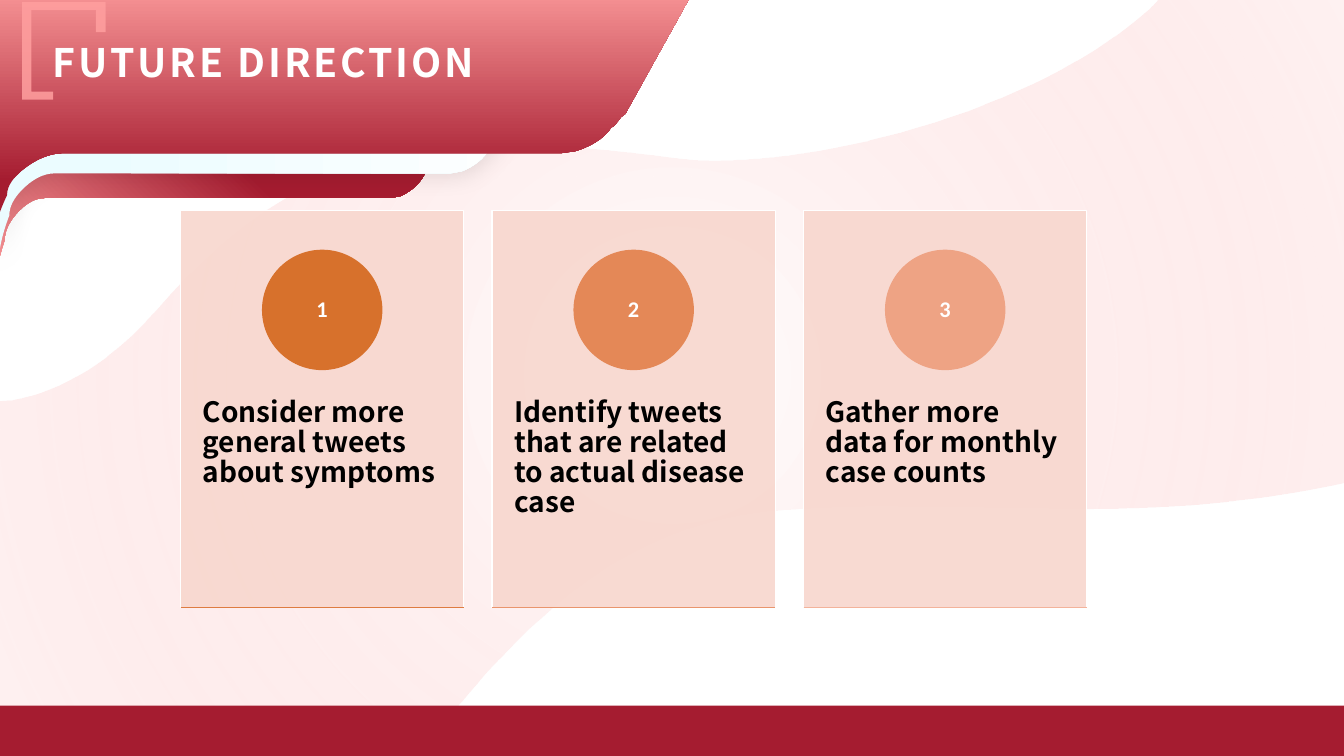
from dataclasses import dataclass
from typing import Any, Optional

from lxml.etree import SubElement
from pptx import Presentation
from pptx.dml.color import RGBColor
from pptx.enum.shapes import MSO_CONNECTOR, MSO_SHAPE
from pptx.enum.text import MSO_ANCHOR, MSO_AUTO_SIZE, PP_ALIGN
from pptx.oxml.ns import qn
from pptx.util import Cm, Pt

WHITE = RGBColor(0xFF, 0xFF, 0xFF)
BLACK = RGBColor(0x00, 0x00, 0x00)
CRIMSON = RGBColor(0xA5, 0x1C, 0x30)
PINK = RGBColor(0xFF, 0x9F, 0x9F)
PALE_PINK = RGBColor(0xFF, 0xCB, 0xCB)
ICE = RGBColor(0xEB, 0xFC, 0xFF)
PEACH = RGBColor(0xF8, 0xD7, 0xCE)
HEADING_FONT = "Noto Sans CJK SC"
NUMBER_FONT = "Calibri"

SLIDE_W, SLIDE_H = 33.87, 19.05
CARD_LEFT, CARD_TOP, CARD_W, CARD_H, CARD_PITCH = 4.55, 5.31, 7.14, 10.0, 7.85
CIRCLE, CIRCLE_DROP = 3.0, 1.0
BODY_DROP, BODY_H = 3.81, 6.0

Point = tuple[float, float]
Segment = tuple[Point, ...]


@dataclass
class Stop:
    position: float
    color: RGBColor


@dataclass
class Tab:
    left: float
    top: float
    width: float
    stops: tuple[Stop, Stop]
    angle: float
    shadow: bool = False


@dataclass
class Card:
    text: str
    circle: RGBColor
    base: RGBColor


TABS = [
    Tab(-0.13, 0.44, 12.47, (Stop(0, PINK), Stop(0.49, CRIMSON)), 45),
    Tab(-0.05, -0.18, 14.25, (Stop(0.15, ICE), Stop(1, WHITE)), 0, True),
    Tab(-0.18, -0.69, 17.91, (Stop(0.25, CRIMSON), Stop(1, PINK)), 90),
]

CARDS = [
    Card("Consider more general tweets about symptoms",
         RGBColor(0xD7, 0x71, 0x2C), RGBColor(0xDE, 0x7C, 0x41)),
    Card("Identify tweets that are related to actual disease case",
         RGBColor(0xE4, 0x88, 0x57), RGBColor(0xE9, 0x95, 0x6D)),
    Card("Gather more data for monthly case counts",
         RGBColor(0xEE, 0xA3, 0x84), RGBColor(0xF3, 0xB3, 0x9B)),
]

WAVE: list[Segment] = [
    ((29.24, -0.08),), ((33.88, -0.08),), ((33.88, 12.17),), ((33.66, 12.22),),
    ((28.68, 13.28), (24.64, 12.57), (20.12, 12.83)),
    ((16.0, 13.03), (13.46, 15.29), (10.8, 18.72)),
    ((10.57, 19.0),), ((0.02, 19.0),), ((0.02, 10.11),), ((0.33, 10.08),),
    ((1.6, 9.86), (2.84, 9.09), (4.01, 7.75)),
    ((7.47, 3.81), (10.67, 3.12), (17.07, 3.99)),
    ((19.56, 4.34), (25.63, 3.18), (28.96, 0.23)),
]

TAB_OUTLINE: list[Segment] = [
    ((1, 0),), ((0.89, 3.56),),
    ((0.88, 3.66), (0.88, 3.81), (0.87, 3.91)),
    ((0.86, 4.19), (0.84, 4.39), (0.82, 4.5)),
    ((0.81, 4.52), (0.81, 4.55), (0.8, 4.55)),
    ((0.1, 4.55),),
    ((0.08, 4.55), (0.06, 4.7), (0.04, 5.0)),
    ((0.03, 5.16), (0.02, 5.36), (0.02, 5.61)),
    ((0.01, 5.99), (0, 6.45), (0, 7.01)),
    ((0, 0),),
]

BRACKET: list[Segment] = [
    ((x, y),) for x, y in (
        (1.34, 2.51), (0.56, 2.51), (0.56, 0.05), (2.66, 0.05), (2.66, 0.81),
        (2.42, 0.81), (2.42, 0.25), (0.79, 0.25), (0.79, 2.31), (1.34, 2.31))
]


def apply(target: Any, values: dict[str, Any]) -> None:
    for name, value in values.items():
        setattr(target, name, value)


def draw_outline(s: Any, outline: list[Segment]) -> Any:
    ends = [(Cm(segment[-1][0]), Cm(segment[-1][1])) for segment in outline]
    builder = s.shapes.build_freeform(*ends[0], scale=1.0)
    builder.add_line_segments(ends[1:], close=True)
    sp = builder.convert_to_shape()
    for step, segment in zip(list(sp._element.iter(qn("a:lnTo"))), outline[1:]):
        if len(segment) == 3:
            curve = SubElement(step.getparent(), qn("a:cubicBezTo"))
            step.getparent().replace(step, curve)
            for x, y in segment:
                SubElement(curve, qn("a:pt"), x=str(Cm(x) - sp.left), y=str(Cm(y) - sp.top))
    sp.shadow.inherit = False
    sp.line.fill.background()
    return sp


def set_alpha(color: Any, percent: int) -> None:
    SubElement(color, qn("a:alpha"), val=str(percent * 1000))


def paint(sp: Any, fill: RGBColor, line: Optional[RGBColor] = None,
          alpha: int = 100) -> None:
    sp.shadow.inherit = False
    sp.fill.solid()
    sp.fill.fore_color.rgb = fill
    if alpha < 100:
        set_alpha(sp._element.spPr.find(qn("a:solidFill"))[0], alpha)
    if line is None:
        sp.line.fill.background()
    else:
        sp.line.color.rgb = line
        sp.line.width = Pt(1)


def paint_gradient(sp: Any, stops: tuple[Stop, Stop], angle: float) -> Any:
    sp.fill.gradient()
    sp.fill.gradient_angle = angle
    for target, stop in zip(sp.fill.gradient_stops, stops):
        target.color.rgb = stop.color
        target.position = stop.position
    return sp._element.spPr.find(qn("a:gradFill"))


def draw_wave(s: Any) -> None:
    grad = paint_gradient(draw_outline(s, WAVE), (Stop(0, WHITE), Stop(1, PALE_PINK)), 0)
    set_alpha(grad.find(qn("a:gsLst"))[1][0], 25)
    grad.remove(grad.find(qn("a:lin")))
    circle = SubElement(grad, qn("a:path"), path="circle")
    SubElement(circle, qn("a:fillToRect"), l="50000", t="50000", r="50000", b="50000")


def draw_tab(s: Any, tab: Tab) -> None:
    outline = [tuple((tab.left + x * tab.width, tab.top + y) for x, y in segment)
               for segment in TAB_OUTLINE]
    sp = draw_outline(s, outline)
    paint_gradient(sp, tab.stops, tab.angle)
    if tab.shadow:
        effects = sp._element.spPr.find(qn("a:effectLst"))
        shadow = SubElement(effects, qn("a:outerShdw"), blurRad=str(Pt(16)),
                            dist=str(Pt(3)), dir="2700000", algn="tl", rotWithShape="0")
        set_alpha(SubElement(shadow, qn("a:srgbClr"), val=str(BLACK)), 10)


def write(sp: Any, text: str, frame: dict[str, Any], para: dict[str, Any],
          font: dict[str, Any], color: RGBColor) -> Any:
    tf = sp.text_frame
    apply(tf, frame)
    p = tf.paragraphs[0]
    apply(p, para)
    r = p.add_run()
    r.text = text
    apply(r.font, {"bold": True, **font})
    r.font.color.rgb = color
    return r


def draw_card(s: Any, index: int, card: Card) -> None:
    left = CARD_LEFT + index * CARD_PITCH
    bottom = CARD_TOP + CARD_H
    panel = s.shapes.add_shape(MSO_SHAPE.RECTANGLE, Cm(left), Cm(CARD_TOP), Cm(CARD_W), Cm(CARD_H))
    paint(panel, PEACH, WHITE, 90)
    body = s.shapes.add_textbox(Cm(left), Cm(CARD_TOP + BODY_DROP), Cm(CARD_W), Cm(BODY_H))
    write(body, card.text,
          {"word_wrap": True, "margin_left": Cm(0.56), "margin_right": Cm(0.56),
           "margin_top": Cm(0.91), "margin_bottom": Cm(0.91)},
          {"line_spacing": 0.9}, {"size": Pt(20), "name": HEADING_FONT}, BLACK)
    circle = s.shapes.add_shape(MSO_SHAPE.OVAL, Cm(left + (CARD_W - CIRCLE) / 2),
                                Cm(CARD_TOP + CIRCLE_DROP), Cm(CIRCLE), Cm(CIRCLE))
    paint(circle, card.circle, card.circle)
    write(circle, str(index + 1), {"vertical_anchor": MSO_ANCHOR.MIDDLE},
          {"alignment": PP_ALIGN.CENTER, "line_spacing": 0.9},
          {"size": Pt(16), "name": NUMBER_FONT}, WHITE)
    base = s.shapes.add_connector(MSO_CONNECTOR.STRAIGHT, Cm(left), Cm(bottom),
                                  Cm(left + CARD_W), Cm(bottom))
    base.line.width = Pt(1)
    base.line.color.rgb = card.base
    SubElement(base._element.spPr, qn("a:effectLst"))


def draw_title(s: Any) -> None:
    title = s.shapes.title
    s.shapes._spTree.append(title._element)
    apply(title, {"left": Cm(1.08), "top": Cm(0.84), "width": Cm(11.63), "height": Cm(1.45)})
    r = write(title, "FUTURE DIRECTION",
              {"word_wrap": False, "auto_size": MSO_AUTO_SIZE.SHAPE_TO_FIT_TEXT,
               "vertical_anchor": MSO_ANCHOR.TOP},
              {"alignment": PP_ALIGN.LEFT}, {"size": Pt(28), "name": HEADING_FONT}, WHITE)
    r._r.get_or_add_rPr().set("spc", "200")


def main() -> None:
    prs = Presentation()
    apply(prs, {"slide_width": Cm(SLIDE_W), "slide_height": Cm(SLIDE_H)})
    s = prs.slides.add_slide(prs.slide_layouts[5])
    draw_wave(s)
    footer = s.shapes.add_shape(MSO_SHAPE.RECTANGLE, 0, Cm(17.78), Cm(SLIDE_W), Cm(1.27))
    paint(footer, CRIMSON)
    for tab in TABS:
        draw_tab(s, tab)
    paint(draw_outline(s, BRACKET), PINK, alpha=86)
    draw_title(s)
    for index, card in enumerate(CARDS):
        draw_card(s, index, card)
    prs.save("out.pptx")


if __name__ == "__main__":
    main()
